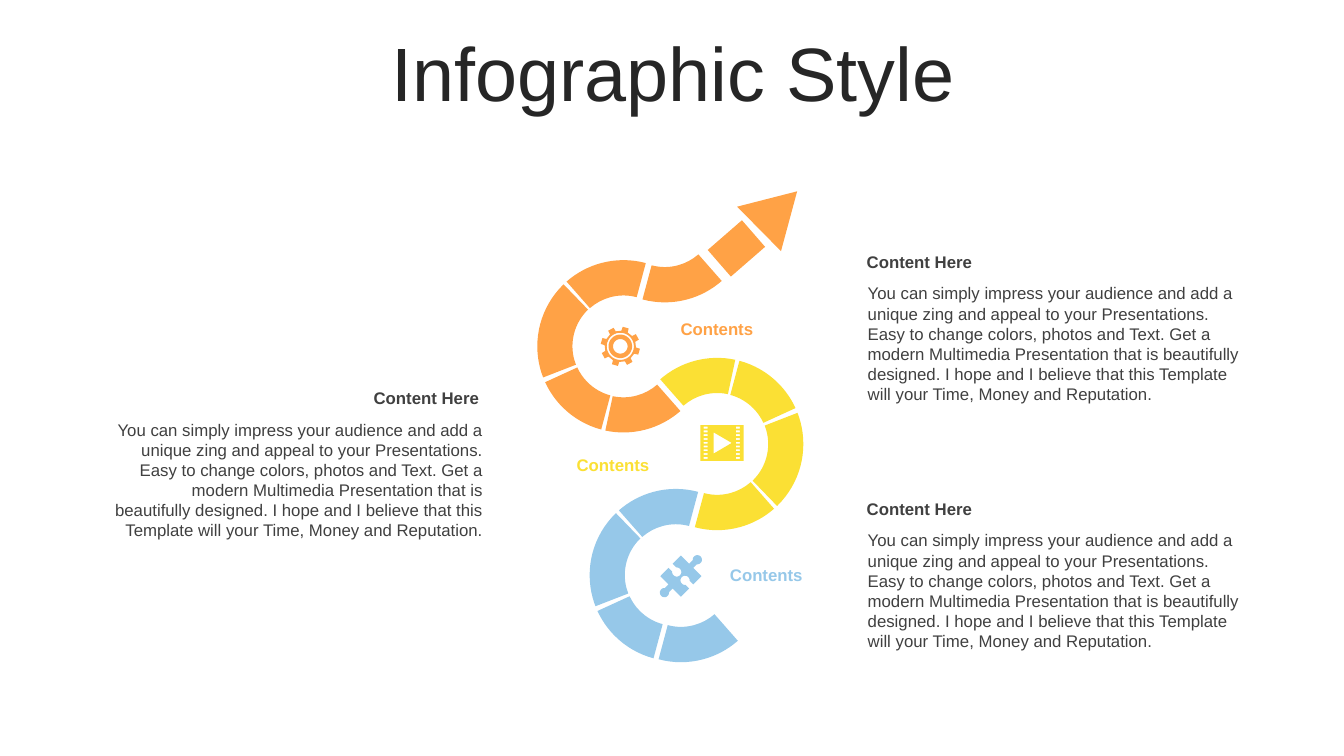
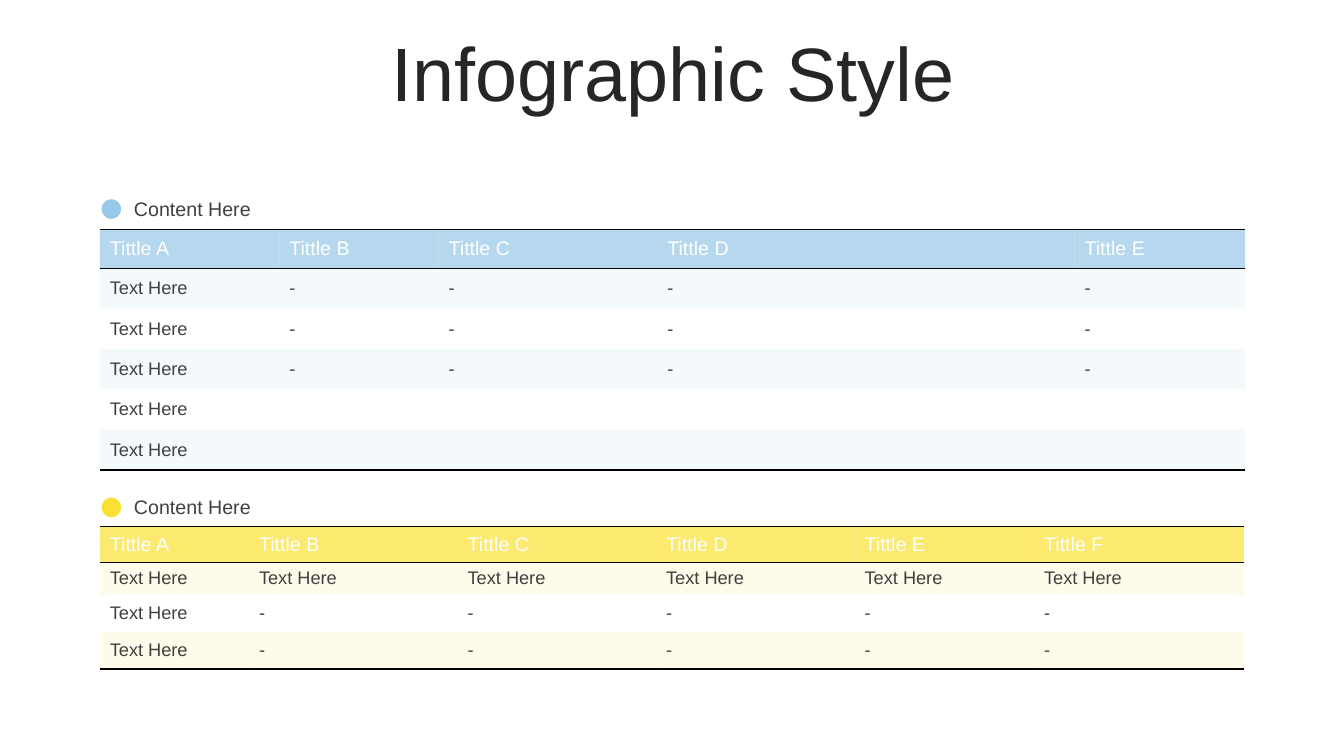
"""Build two infographic slides: a winding arrow and a pair of tables."""
from dataclasses import dataclass
from math import cos, hypot, radians, sin

from lxml import etree
from pptx import Presentation
from pptx.dml.color import RGBColor
from pptx.enum.shapes import MSO_SHAPE
from pptx.enum.text import MSO_ANCHOR, PP_ALIGN
from pptx.oxml.ns import qn
from pptx.slide import Slide
from pptx.util import Pt

ARC, RECT, OVAL = MSO_SHAPE.BLOCK_ARC, MSO_SHAPE.RECTANGLE, MSO_SHAPE.OVAL
HEAD = MSO_SHAPE.ISOSCELES_TRIANGLE
LEFT, MID, RIGHT = PP_ALIGN.LEFT, PP_ALIGN.CENTER, PP_ALIGN.RIGHT
TOP, CENTER = MSO_ANCHOR.TOP, MSO_ANCHOR.MIDDLE

HUES = {
    "orange": "FFA246", "yellow": "FBE034", "blue": "96C8E9",
    "title": "262626", "text": "404040", "white": "FFFFFF", "black": "000000",
}
FONT = "Arial"
RING = 123.1
TIP = (182.208, 0, 0.205)
TAIL = (182.208, 214.294, 0.204)
BANDS = ((140.291, 180.566, 0.204), TIP, (108, 138.214, 0.205))
BODY = (
    "You can simply impress your audience and add a unique zing and appeal to "
    "your Presentations. Easy to change colors, photos and Text. Get a modern "
    "Multimedia Presentation that is beautifully designed. I hope and I believe "
    "that this Template will your Time, Money and Reputation."
)

Point = tuple[float, float]
Box = tuple[float, float, float, float]


@dataclass(frozen=True)
class Bend:
    """Describe one arc section of the winding arrow."""
    x: float
    y: float
    turn: float
    hue: str
    bands: tuple


@dataclass(frozen=True)
class Note:
    """Describe a heading with its body text."""
    x: float
    y: float
    width: float
    align: PP_ALIGN


@dataclass(frozen=True)
class Grid:
    """Describe a labelled table."""
    label: float
    top: float
    hue: str
    cols: tuple
    rows: tuple
    cells: tuple


BENDS = (
    Bend(413.3, 92.9, 105, "orange", (TIP,)),
    Bend(383.8, 185.8, 285, "orange", BANDS),
    Bend(383.8, 185.8, 105, "orange", (TAIL,)),
    Bend(450.7, 255.6, 105, "yellow", BANDS),
    Bend(450.7, 255.6, 285, "yellow", (TAIL,)),
    Bend(421.2, 349.2, 285, "blue", BANDS),
    Bend(424.8, 349.9, 105, "blue", (TIP,)),
)
TAGS = ((475.7, 223.9, "orange"), (401.5, 321.1, "yellow"), (511, 399.6, "blue"))
NOTES = (
    Note(612.7, 198.7, 282.2, LEFT),
    Note(74.2, 295.9, 277.9, RIGHT),
    Note(612.7, 375.1, 282.2, LEFT),
)
DASHES = ("Text Here",) + ("-",) * 5
GRIDS = (
    Grid(136.8, 164.2, "blue", (128.2, 113.8, 156.2, 298.1, 121.7),
         (27.4,) + (28.8,) * 5, (DASHES[:5],) * 3 + (DASHES[:1],) * 2),
    Grid(349.9, 375.8, "yellow", (106.6, 149, 141.8, 141.8, 128.2, 149.8),
         (25.9, 23, 26.6, 26.6), (("Text Here",) * 6, DASHES, DASHES)),
)


def tint(name: str) -> RGBColor:
    """Return the named colour."""
    return RGBColor.from_string(HUES[name])


def write(para, text: str, size: float, hue: str, bold: bool = False) -> None:
    """Add one styled run to a paragraph."""
    run = para.add_run()
    run.text = text
    run.font.name, run.font.size, run.font.bold = FONT, Pt(size), bold
    run.font.color.rgb = tint(hue)


def label(slide: Slide, box: Box, text: str, size: float, hue: str,
          align: PP_ALIGN = LEFT, bold: bool = False, anchor: MSO_ANCHOR = TOP,
          inset: float = 7.2, space: float = 1) -> None:
    """Draw a wrapped text box."""
    frame = slide.shapes.add_textbox(*map(Pt, box)).text_frame
    frame.word_wrap, frame.vertical_anchor = True, anchor
    frame.margin_left = frame.margin_right = Pt(inset)
    para = frame.paragraphs[0]
    para.alignment, para.line_spacing = align, space
    write(para, text, size, hue, bold)


def paint(shape, hue: str, edge: str = "") -> None:
    """Give a shape a flat fill and an optional thin edge."""
    shape.shadow.inherit = False
    shape.fill.solid()
    shape.fill.fore_color.rgb = tint(hue)
    if edge:
        shape.line.color.rgb = tint(edge)
        shape.line.width = Pt(1)
    else:
        shape.line.fill.background()


def block(slide: Slide, kind: MSO_SHAPE, box: Box, hue: str, turn: float = 0,
          marks: tuple = (), edge: str = "") -> None:
    """Draw a preset shape."""
    shape = slide.shapes.add_shape(kind, *map(Pt, box))
    shape.rotation = turn
    for at, mark in enumerate(marks):
        shape.adjustments[at] = mark
    paint(shape, hue, edge)


def trace(slide: Slide, loops: list[list[Point]], hue: str) -> None:
    """Draw closed loops as a single outline, inner loops being holes."""
    spots = [[(Pt(x), Pt(y)) for x, y in loop] for loop in loops]
    pen = slide.shapes.build_freeform(*spots[0][0])
    for at, loop in enumerate(spots):
        if at:
            pen.move_to(*loop[0])
        pen.add_line_segments(loop[1:], close=True)
    paint(pen.convert_to_shape(), hue)


def polar(mid: Point, reach: float, angle: float) -> Point:
    """Return the point at a reach and angle from a centre."""
    turn = radians(angle)
    return mid[0] + reach * cos(turn), mid[1] + reach * sin(turn)


def pane(x: float, y: float, wide: float, high: float) -> list[Point]:
    """Return the corners of a rectangle."""
    return [(x, y), (x + wide, y), (x + wide, y + high), (x, y + high)]


def gear(slide: Slide) -> None:
    """Draw the gear icon."""
    mid = (443.1, 247.4)
    teeth = [polar(mid, reach, 16 + 45 * step + skew) for step in range(8)
             for reach, skew in ((11.2, -12), (14.1, -9), (14.1, 9), (11.2, 12))]
    rings = [[polar(mid, reach, angle) for angle in range(0, 360, 6)]
             for reach in (9.7, 8.4, 5.2)]
    trace(slide, [teeth, *rings], "orange")


def film(slide: Slide) -> None:
    """Draw the film icon."""
    holes = [pane(x, 304.8 + 2.7 * row, 2.8, 1.3)
             for x in (502.7, 525.7) for row in range(9)]
    play = [(509.8, 308.9), (509.8, 324), (522.7, 316.4)]
    trace(slide, [pane(500.3, 303.6, 30.8, 25.6), play, *holes], "yellow")


def side(start: Point, end: Point, way: int) -> list[Point]:
    """Return one puzzle side with a knob going out or in."""
    run, rise = end[0] - start[0], end[1] - start[1]
    size = hypot(run, rise)
    run, rise = run / size, rise / size
    mid = ((start[0] + end[0]) / 2, (start[1] + end[1]) / 2)
    knob = [(3.3 * sin(radians(t)), way * (6.2 + 3.3 * cos(radians(t))))
            for t in range(-140, 141, 20)]
    return [start] + [(mid[0] + run * a + rise * b, mid[1] + rise * a - run * b)
                      for a, b in [(-2.1, 0), *knob, (2.1, 0)]]


def puzzle(slide: Slide) -> None:
    """Draw the puzzle icon."""
    tips = [polar((486.4, 411.6), 14.7, angle) for angle in (-90, 0, 90, 180)]
    loop = [spot for at, tip in enumerate(tips)
            for spot in side(tip, tips[(at + 1) % 4], 1 - at % 2 * 2)]
    trace(slide, [loop], "blue")


def border(cell, edges: str) -> None:
    """Draw the named black edges of a cell and clear the others."""
    props = cell._tc.get_or_add_tcPr()
    for at, edge in enumerate("LRTB"):
        line = etree.Element(qn(f"a:ln{edge}"), w=str(Pt(1)))
        if edge in edges:
            fill = etree.SubElement(line, qn("a:solidFill"))
            etree.SubElement(fill, qn("a:srgbClr"), val=HUES["black"])
        else:
            etree.SubElement(line, qn("a:noFill"))
        props.insert(at, line)


def shade(cell, hue: str, part: int) -> None:
    """Fill a cell at a percentage of opacity, or clear it at zero."""
    if not part:
        cell.fill.background()
        return
    cell.fill.solid()
    cell.fill.fore_color.rgb = tint(hue)
    mark = cell._tc.get_or_add_tcPr().find(f".//{qn('a:srgbClr')}")
    etree.SubElement(mark, qn("a:alpha"), val=str(part * 1000))


def table(slide: Slide, grid: Grid) -> None:
    """Draw a table with its dot and label."""
    box = (71.3, grid.top, sum(grid.cols), sum(grid.rows))
    table = slide.shapes.add_table(
        len(grid.rows), len(grid.cols), *map(Pt, box)).table
    table.first_row = table.horz_banding = False
    for col, width in zip(table.columns, grid.cols):
        col.width = Pt(width)
    heads = tuple(f"Tittle {mark}" for mark in "ABCDEF"[:len(grid.cols)])
    for at, texts in enumerate((heads, *grid.cells)):
        table.rows[at].height = Pt(grid.rows[at])
        size, hue, part = (13, "text", at % 2 * 10) if at else (14, "white", 70)
        edges = "B" if at == len(grid.rows) - 1 else ("TB", "T", "")[min(at, 2)]
        for col in range(len(grid.cols)):
            cell = table.cell(at, col)
            cell.vertical_anchor = CENTER
            shade(cell, grid.hue, part)
            border(cell, edges)
            if col < len(texts):
                write(cell.text_frame.paragraphs[0], texts[col], size, hue)
    label(slide, (88.6, grid.label, 226.8, 24.5), "Content Here", 14, "text")
    block(slide, OVAL, (72, grid.label + 5, 15.1, 15.1), grid.hue, edge="white")


def start(deck) -> Slide:
    """Add a blank slide with the shared title."""
    slide = deck.slides.add_slide(deck.slide_layouts[6])
    label(slide, (25.2, 26.6, 911.5, 56.9), "Infographic Style", 54, "title",
          MID, anchor=CENTER, space=0.9)
    return slide


def arrow(slide: Slide) -> None:
    """Draw the winding arrow with its icons and texts."""
    for bend in BENDS:
        for band in bend.bands:
            block(slide, ARC, (bend.x, bend.y, RING, RING), bend.hue, bend.turn, band)
    block(slide, RECT, (513.4, 161.3, 25.2, 32.4), "orange", 49)
    block(slide, HEAD, (533.5, 131, 44.6, 38.2), "orange", 45.4)
    for x, y, hue in TAGS:
        label(slide, (x, y, 72.7, 21.6), "Contents", 12, hue, MID, True, inset=8.6)
    for note in NOTES:
        label(slide, (note.x, note.y, note.width, 94.3), BODY, 12, "text", note.align)
        label(slide, (note.x - 0.7, note.y - 22.3, note.width - 2.1, 21.6),
              "Content Here", 12, "text", note.align, True)
    for icon in (puzzle, film, gear):
        icon(slide)


def main() -> None:
    """Build and save the deck."""
    deck = Presentation()
    deck.slide_width, deck.slide_height = Pt(960), Pt(540)
    arrow(start(deck))
    slide = start(deck)
    for grid in GRIDS:
        table(slide, grid)
    deck.save("out.pptx")


if __name__ == "__main__":
    main()
